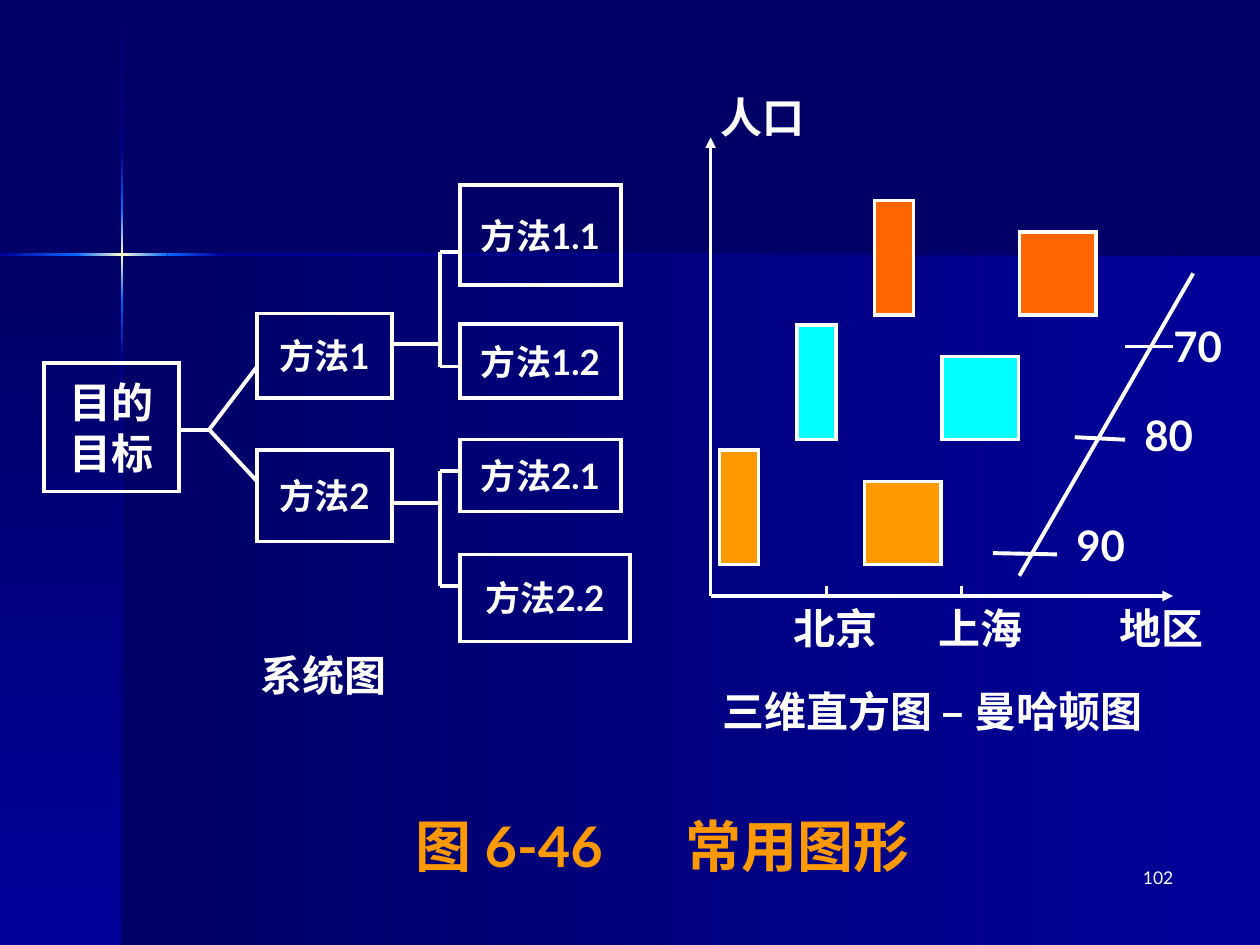
from itertools import pairwise
from lxml import etree
from pptx import Presentation
from pptx.dml.color import RGBColor
from pptx.enum.shapes import MSO_CONNECTOR as Link, MSO_SHAPE as Form
from pptx.enum.text import MSO_ANCHOR as Anchor, PP_ALIGN as Align
from pptx.oxml.ns import qn
from pptx.util import Inches, Pt

HEX = {"navy": "000066", "blue": "000099", "bright": "0066FF",
       "cream": "FFFFCC", "white": "FFFFFF", "orange": "FF6600",
       "amber": "FF9900", "cyan": "00FFFF"}
FONT = "Lato"
WIDE, HIGH = Inches(10), Inches(7.5)
CELL = WIDE / 100  # the grid has 100 columns and 75 rows


def grid(*cells):
    return [round(n * CELL) for n in cells]


def tint(name):
    return RGBColor.from_string(HEX[name])


def write(shape, text, size=24, color="white", bold=True,
          align=Align.CENTER, anchor=Anchor.MIDDLE, wrap=False):
    frame = shape.text_frame
    frame.text = text
    frame.word_wrap = wrap
    frame.vertical_anchor = anchor
    if not wrap:
        frame.margin_left = frame.margin_right = 0
    for para in frame.paragraphs:
        para.alignment = align
        font = para.font
        font.name, font.size, font.bold = FONT, Pt(size), bold
        font.color.rgb = tint(color)


def label(slide, at, text, **style):
    write(slide.shapes.add_textbox(*grid(*at)), text, **style)


def box(slide, at, fill=None):
    shape = slide.shapes.add_shape(Form.RECTANGLE, *grid(*at))
    shape.shadow.inherit = False
    if fill:
        shape.fill.solid()
        shape.fill.fore_color.rgb = tint(fill)
    else:
        shape.fill.background()
    shape.line.color.rgb = tint("white")
    shape.line.width = Pt(2)
    etree.SubElement(shape.line._get_or_add_ln(), qn("a:miter"), lim="800000")
    return shape


def line(slide, x1, y1, x2, y2, width=2.25, arrow=False):
    link = slide.shapes.add_connector(Link.STRAIGHT, *grid(x1, y1, x2, y2))
    link.line.color.rgb = tint("white")
    link.line.width = Pt(width)
    if arrow:
        etree.SubElement(link.line._get_or_add_ln(), qn("a:tailEnd"),
                         type="triangle")
    etree.SubElement(link._element.spPr, qn("a:effectLst"))


def fade(slide, at, start, end, down):
    """Rectangle that blends two colours, downwards or to the right."""
    shape = slide.shapes.add_shape(Form.RECTANGLE, *grid(*at))
    shape.shadow.inherit = False
    shape.line.fill.background()
    shape.fill.gradient()
    shape.fill.gradient_angle = 270 if down else 0
    for stop, name in zip(shape.fill.gradient_stops, (start, end)):
        stop.color.rgb = tint(name)


def backdrop(slide):
    slide.background.fill.solid()
    slide.background.fill.fore_color.rgb = tint("navy")
    x, y, thin = 9.7, 20.2, 0.2
    fade(slide, (x, y, 100 - x, 75 - y), "navy", "blue", False)
    fade(slide, (0, y, x, 75 - y), "navy", "blue", True)
    glow = ["navy", "blue", "bright", "cream", "bright", "blue", "navy"]
    rows = zip([0.1, 12.1, 16.5, y, 23.8, 28.2, 75], glow)
    cols = zip([0, 6, x, 13.3, 17.7, 100], glow[1:])
    for (a, start), (b, end) in pairwise(rows):
        fade(slide, (x - thin / 2, a, thin, b - a), start, end, True)
    for (a, start), (b, end) in pairwise(cols):
        fade(slide, (a, y - thin / 2, b - a, thin), start, end, False)


def tree(slide):
    write(box(slide, (3.5, 28.8, 10.7, 10.2)), "目的\n目标")
    for name, top, high in (("方法1", 24.9, 6.7), ("方法2", 35.7, 7.3)):
        write(box(slide, (20.4, top, 10.7, high)), name, 20)
    leaves = (("方法1.1", 14.7, 12.8, 7.9), ("方法1.2", 25.7, 12.8, 5.9),
              ("方法2.1", 34.9, 12.8, 5.7), ("方法2.2", 44, 13.5, 6.9))
    for name, top, wide, high in leaves:
        write(box(slide, (36.5, top, wide, high)), name, 20)

    fork, mid, bus = 16.6, 34.1, 34.9
    line(slide, 14.3, mid, fork, mid)
    for y in (29.1, 38.2):
        line(slide, fork, mid, 20.4, y)
    for top, stem in ((20, 27.3), (37.4, 39.9)):
        low = top + 9.1
        line(slide, 31.1, stem, bus, stem)
        line(slide, bus, top, bus, low)
        for y in (top, low):
            line(slide, bus, y, 36.5, y, 2)
    label(slide, (15, 49, 21.4, 9.1), "系统图")


def chart(slide):
    """Manhattan plot in oblique view: region, population, decade."""
    x, y = 56.4, 47.3
    line(slide, x, y, 93.1, y, 2, arrow=True)
    line(slide, x, y, x, 10.9, 2, arrow=True)
    for tick in (65.6, 76.3):
        line(slide, tick, 46.5, tick, y, 2)

    for step, fill in enumerate(("amber", "cyan", "orange")):
        left, top = 57.1 + 6.15 * step, 35.7 - 9.9 * step
        box(slide, (left, top, 3.1, 9.1), fill)
        box(slide, (left + 11.5, top + 2.5, 6.1, 6.6), fill)

    line(slide, 94.7, 21.7, 80.9, 45.7)
    decades = (("70", (89.3, 27.5, 93.1, 27.5), (90.1, 24.9)),
               ("80", (85.3, 34.7, 89.3, 34.9), (87.8, 32)),
               ("90", (78.8, 43.9, 83.9, 44), (82.4, 40.7)))
    for name, tick, spot in decades:
        line(slide, *tick)
        label(slide, (*spot, 9.9, 5), name)

    for name, left, wide in (("北京", 62.5, 7.7), ("上海", 74, 7.6),
                             ("地区", 88.5, 7.3)):
        label(slide, (left, y, wide, 5), name)
    label(slide, (54.8, 6.8, 11.5, 5), "人口")
    label(slide, (56.9, 53.9, 34.2, 5), "三维直方图 – 曼哈顿图")


def caption(slide):
    title = slide.shapes.title
    slide.shapes._spTree.append(title._element)  # bring to front
    title.left, title.top, title.width, title.height = grid(
        32, 63.9, 45.8, 6.4)
    write(title, "图 6-46\t常用图形", 32, "amber", align=Align.LEFT,
          anchor=Anchor.TOP, wrap=True)
    props = title.text_frame.paragraphs[0]._p.get_or_add_pPr()
    tabs = etree.Element(qn("a:tabLst"))
    etree.SubElement(tabs, qn("a:tab"), pos=str(grid(21.4)[0]), algn="l")
    props.insert(0, tabs)


def main():
    deck = Presentation()
    deck.slide_width, deck.slide_height = WIDE, HIGH
    slide = deck.slides.add_slide(deck.slide_layouts[5])
    backdrop(slide)
    tree(slide)
    chart(slide)
    caption(slide)
    label(slide, (73.3, 68.3, 20.8, 5), "102", size=10, bold=False,
          align=Align.RIGHT, anchor=Anchor.TOP, wrap=True)
    deck.save("out.pptx")


if __name__ == "__main__":
    main()
